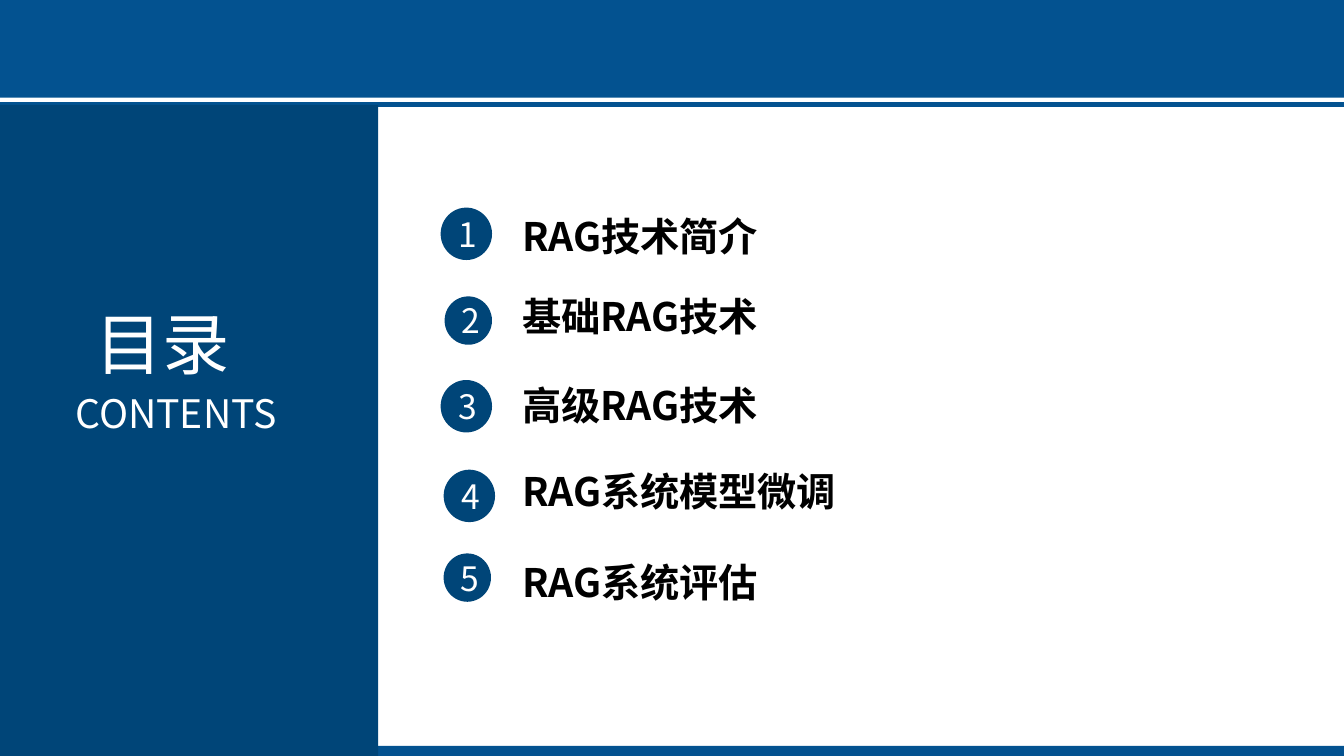
import pptx
import pptx.dml.color
import pptx.enum.shapes
import pptx.enum.text
import pptx.oxml.ns
import pptx.util
from lxml import etree

WIDTH, HEIGHT = 13.33, 7.5
FONT = "Noto Sans CJK SC"
BLUE, NAVY, WHITE, BLACK = "035290", "004578", "FFFFFF", "000000"
SHAPE = pptx.enum.shapes.MSO_SHAPE
ALIGN = pptx.enum.text.PP_ALIGN
ANCHOR = pptx.enum.text.MSO_ANCHOR

# Heading, heading top, badge left, badge top, badge width
TOPICS = [
    ("RAG技术简介", 2.06, 4.37, 2.06, 0.51),
    ("基础RAG技术", 2.85, 4.41, 2.94, 0.47),
    ("高级RAG技术", 3.73, 4.37, 3.77, 0.51),
    ("RAG系统模型微调", 4.59, 4.4, 4.66, 0.51),
    ("RAG系统评估", 5.49, 4.4, 5.49, 0.47),
]


def rgb(color):
    return pptx.dml.color.RGBColor.from_string(color)


def inches(*lengths):
    return [pptx.util.Inches(length) for length in lengths]


def write(holder, text, size, color, align, anchor=ANCHOR.TOP, bold=False):
    frame = holder.text_frame
    frame.text = text
    frame.word_wrap = True
    frame.vertical_anchor = anchor
    paragraph = frame.paragraphs[0]
    paragraph.alignment = align
    paragraph.line_spacing = 1.0
    font = paragraph.runs[0].font
    font.name, font.size, font.bold = FONT, pptx.util.Pt(size), bold
    font.color.rgb = rgb(color)
    # East Asian characters take their own typeface
    east_asian = etree.SubElement(font._element, pptx.oxml.ns.qn("a:ea"))
    east_asian.set("typeface", FONT)


def add_filled(slide, kind, box, color):
    shape = slide.shapes.add_shape(kind, *inches(*box))
    shape.shadow.inherit = False
    shape.fill.solid()
    shape.fill.fore_color.rgb = rgb(color)
    shape.line.fill.background()
    return shape


def add_text(slide, box, *style, **options):
    write(slide.shapes.add_textbox(*inches(*box)), *style, **options)


def add_bands(slide, width, height):
    # Header and footer bands
    add_filled(slide, SHAPE.RECTANGLE, (0, 0, width, 0.97), BLUE)
    add_filled(slide, SHAPE.RECTANGLE, (0, height - 0.1, width, 0.1), BLUE)
    # Rule under the header
    rule = slide.shapes.add_connector(
        pptx.enum.shapes.MSO_CONNECTOR.STRAIGHT, *inches(0, 1.04, width, 1.04))
    rule.line.color.rgb = rgb(BLUE)
    rule.line.width = pptx.util.Pt(3.6)
    etree.SubElement(rule._element.spPr, pptx.oxml.ns.qn("a:effectLst"))


def add_title_panel(slide, left, top, width, height):
    add_filled(slide, SHAPE.RECTANGLE, (left, top, width, height), NAVY)
    # Title, brought in front of the panel
    title = slide.shapes.title
    title.left, title.top, title.width, title.height = inches(
        left + 0.85, top + 1.91, 1.65, 0.91)
    write(title, "目录", 48, WHITE, ALIGN.JUSTIFY)
    title.text_frame.auto_size = pptx.enum.text.MSO_AUTO_SIZE.NONE
    title.element.getparent().append(title.element)
    # Subtitle
    add_text(slide, (left + 0.65, top + 2.77, 2.45, 0.57),
             "CONTENTS", 28, WHITE, ALIGN.JUSTIFY)


def add_topics(slide, left, width):
    for number, (heading, top, badge_left, badge_top, size) in enumerate(TOPICS, 1):
        badge = add_filled(slide, SHAPE.OVAL,
                           (badge_left, badge_top, size, size + 0.01), NAVY)
        write(badge, str(number), 24, WHITE, ALIGN.CENTER, ANCHOR.MIDDLE)
        add_text(slide, (left, top, width, 0.57),
                 heading, 28, BLACK, ALIGN.LEFT, bold=True)


def main():
    deck = pptx.Presentation()
    deck.slide_width, deck.slide_height = inches(WIDTH, HEIGHT)
    slide = deck.slides.add_slide(deck.slide_layouts[5])
    add_bands(slide, WIDTH, HEIGHT)
    add_title_panel(slide, 0, 1.04, 3.75, HEIGHT - 1.04)
    add_topics(slide, 5.08, 4.38)
    deck.save("out.pptx")


if __name__ == "__main__":
    main()
